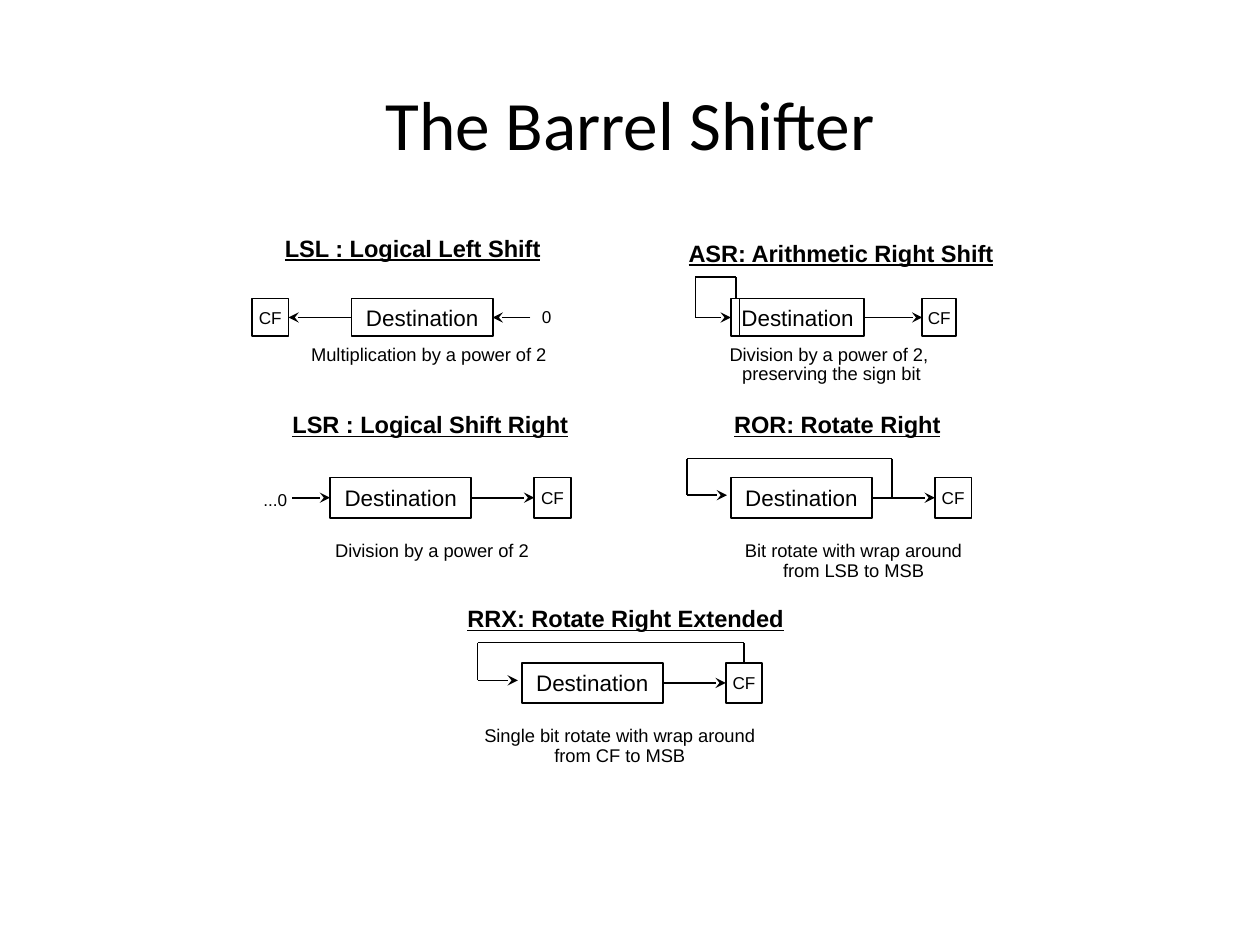
from collections import namedtuple
from copy import deepcopy

from pptx import Presentation
from pptx.dml.color import RGBColor
from pptx.enum.shapes import MSO_CONNECTOR as Line, MSO_SHAPE as Preset
from pptx.enum.text import MSO_ANCHOR as Anchor, MSO_AUTO_SIZE as AutoSize, PP_ALIGN as Align
from pptx.oxml import parse_xml
from pptx.oxml.ns import nsdecls, qn
from pptx.util import Inches, Pt

# Grid of 100 columns by 75 rows; every place and size is in cells
COLUMNS, ROWS = 100, 75
CELL = Inches(10) // COLUMNS
BLACK, WHITE = "000000", "FFFFFF"
TOP, LEFT, RIGHT = 0, 1, 3

Joint = namedtuple("Joint", "box side")


def cells(*counts):
    return [round(count * CELL) for count in counts]


def color(hex_code):
    return RGBColor.from_string(hex_code)


def write(shape, text, *, size, font="Arial", bold=False, underline=False,
          align=Align.CENTER, anchor=Anchor.TOP, spacing=0.9,
          inset=(0.8, 0.4), wrap=False, grow=True):
    frame = shape.text_frame
    frame.word_wrap = wrap
    frame.auto_size = AutoSize.SHAPE_TO_FIT_TEXT if grow else AutoSize.NONE
    frame.vertical_anchor = anchor
    frame.margin_left, frame.margin_top = cells(*inset)
    frame.margin_right, frame.margin_bottom = cells(*inset)
    paragraph = frame.paragraphs[0]
    paragraph.text = text
    paragraph.alignment = align
    paragraph.line_spacing = spacing
    for run in paragraph.runs:
        run.font.name, run.font.size = font, Pt(size)
        run.font.bold, run.font.underline = bold, underline
        run.font.color.rgb = color(BLACK)
    # A line break takes the size of the text around it
    for line_break in paragraph._p.findall(qn("a:br")):
        line_break.append(deepcopy(paragraph.runs[0]._r.rPr))


def label(slide, text, place, **text_format):
    write(slide.shapes.add_textbox(*cells(*place)), text, **text_format)


def register(slide, text, place, size, inset, fill=None):
    box = slide.shapes.add_shape(Preset.RECTANGLE, *cells(*place))
    box.shadow.inherit = False
    if fill:
        box.fill.solid()
        box.fill.fore_color.rgb = color(fill)
    else:
        box.fill.background()
    box.line.color.rgb = color(BLACK)
    box.line.width = Pt(1)
    write(box, text, size=size, anchor=Anchor.MIDDLE, spacing=1.0,
          inset=inset, grow=False)
    return box


def wire(slide, start, end, arrow=False):
    """Draw a line between two points, either of which may be a Joint."""
    points = [(0, 0) if isinstance(point, Joint) else point for point in (start, end)]
    line = slide.shapes.add_connector(Line.STRAIGHT, *cells(*points[0], *points[1]))
    line.line.color.rgb = color(BLACK)
    line.line.width = Pt(1)
    if arrow:
        line.line._get_or_add_ln().append(
            parse_xml(f'<a:tailEnd {nsdecls("a")} type="stealth"/>'))
    line._element.spPr.append(parse_xml(f'<a:effectLst {nsdecls("a")}/>'))
    if isinstance(start, Joint):
        line.begin_connect(*start)
    if isinstance(end, Joint):
        line.end_connect(*end)


def loop(slide, *points):
    """Draw a run of lines, the last one with an arrowhead."""
    for number, (start, end) in enumerate(zip(points, points[1:]), 2):
        wire(slide, start, end, arrow=number == len(points))


def operation(slide, heading, heading_place, caption, caption_place,
              top, height, destination, carry, inset=(0.5, 0.3),
              to_left=False, carry_fill=None):
    """Draw one shift; destination and carry are (left, width)."""
    label(slide, heading, heading_place, size=13.5, bold=True, underline=True, wrap=True)
    label(slide, caption, caption_place, size=10.5,
          align=Align.CENTER if "\n" in caption else Align.LEFT)
    value, flag = [
        register(slide, text, (left, top, width, height), size, inset, fill)
        for text, (left, width), size, fill in (
            ("Destination", destination, 12.8, None),
            ("CF", carry, 9.8, carry_fill))]
    out_side, in_side = (LEFT, RIGHT) if to_left else (RIGHT, LEFT)
    wire(slide, Joint(value, out_side), Joint(flag, in_side), arrow=True)
    return value, flag


def main():
    deck = Presentation()
    deck.slide_width, deck.slide_height = cells(COLUMNS, ROWS)
    slide = deck.slides.add_slide(deck.slide_layouts[6])

    label(slide, "The Barrel Shifter", (6.9, 7.6, 86.2, 4.3), size=39.6, font="Calibri",
          anchor=Anchor.MIDDLE, spacing=1.0, wrap=True, grow=False)

    # Logical left shift: zero enters on the right
    value, _ = operation(
        slide, "LSL : Logical Left Shift", (20, 18.4, 25.5, 2.8),
        "Multiplication by a power of 2", (23.9, 27, 20.6, 2.4),
        23.7, 3, (27.9, 11.2), (20, 2.9), inset=(0.4, 0.2), to_left=True)
    wire(slide, (42.1, 25.2), Joint(value, RIGHT), arrow=True)
    label(slide, "0", (42.6, 24.3, 1.5, 1.9), size=9.8, align=Align.LEFT, inset=(0.4, 0.2))

    # Arithmetic right shift: the sign bit feeds itself
    value, _ = operation(
        slide, "ASR: Arithmetic Right Shift", (53.1, 18.8, 27.3, 2.8),
        "Division by a power of 2, \npreserving the sign bit", (57, 27, 18, 3.9),
        23.7, 3, (58, 10.6), (73.2, 2.7), inset=(0.5, 0.2))
    loop(slide, (58.4, 23.7), (58.4, 22), (55.2, 22), (55.2, 25.2), Joint(value, LEFT))
    wire(slide, (58.7, 23.7), (58.7, 26.7))

    # Logical right shift: zero enters on the left
    value, _ = operation(
        slide, "LSR : Logical Shift Right", (21.4, 32.4, 25.5, 2.8),
        "Division by a power of 2", (25.8, 42.6, 17.2, 2.4),
        37.9, 3.2, (26.2, 11.2), (42.4, 2.9))
    wire(slide, (23.2, 39.5), Joint(value, LEFT), arrow=True)
    label(slide, "...0", (20.5, 38.7, 2.7, 2), size=9.8, align=Align.LEFT,
          spacing=1.02, inset=(0.4, 0.1))

    # Rotate right: the bit shifted out returns on the left
    operation(
        slide, "ROR: Rotate Right", (53.7, 32.4, 25.5, 2.8),
        "Bit rotate with wrap around\nfrom LSB to MSB", (58.2, 42.6, 19.1, 3.9),
        37.9, 3.2, (58, 11.2), (74.2, 2.9))
    loop(slide, (70.8, 39.5), (70.8, 36.4), (54.5, 36.4), (54.5, 39.3), (57.7, 39.3))

    # Rotate right extended: the carry flag returns on the left
    _, flag = operation(
        slide, "RRX: Rotate Right Extended", (35.9, 47.8, 27.5, 2.8),
        "Single bit rotate with wrap around\nfrom CF to MSB", (37.5, 57.3, 23.4, 3.9),
        52.6, 3.2, (41.4, 11.2), (57.6, 2.9), carry_fill=WHITE)
    loop(slide, Joint(flag, TOP), (59.05, 51), (37.9, 51), (37.9, 54), (41.1, 54))

    deck.save("out.pptx")


if __name__ == "__main__":
    main()
